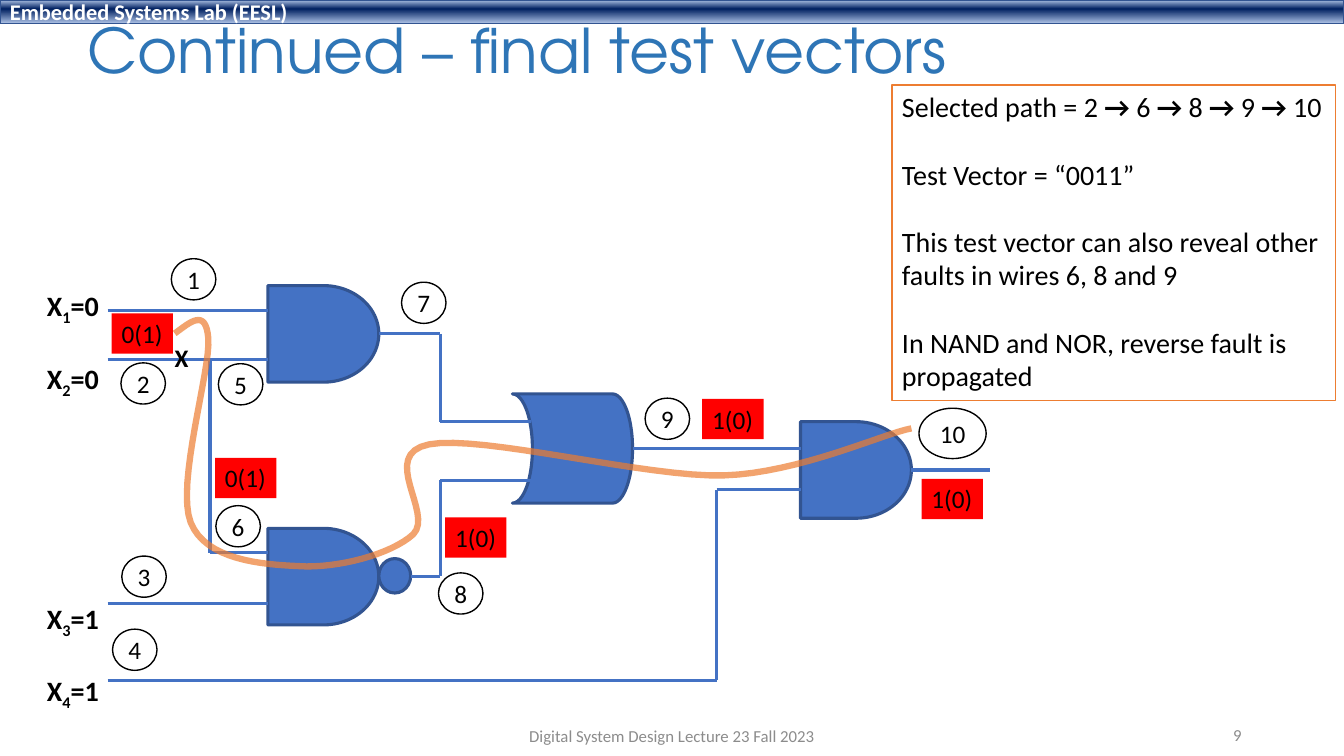
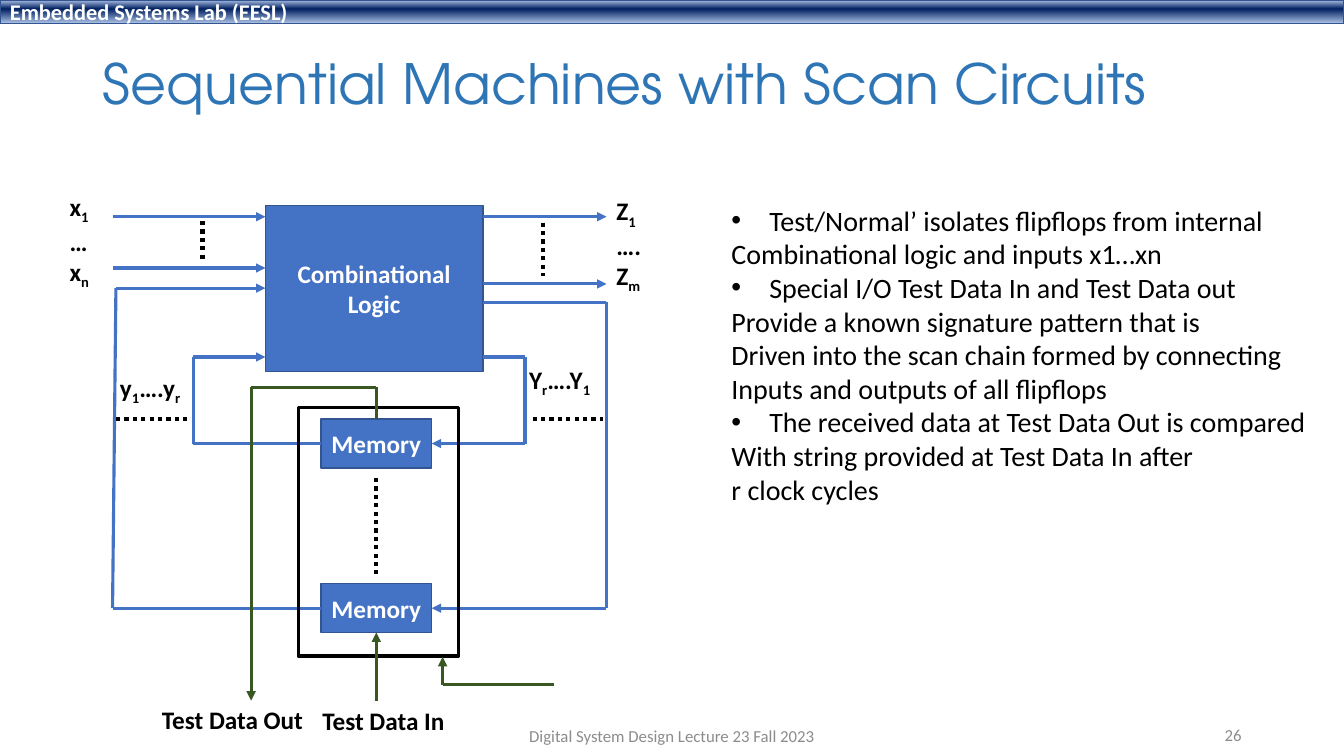
import dataclasses
import itertools

import lxml.etree
import pptx
import pptx.dml.color
import pptx.enum.dml
import pptx.enum.shapes
import pptx.enum.text
import pptx.oxml.ns
import pptx.util

SHAPE = pptx.enum.shapes.MSO_SHAPE
ALIGN = pptx.enum.text.PP_ALIGN
ANCHOR = pptx.enum.text.MSO_ANCHOR
rgb = pptx.dml.color.RGBColor.from_string
qn = pptx.oxml.ns.qn
Pt = pptx.util.Pt


@dataclasses.dataclass(frozen=True)
class Theme:
    body_font: str = "Calibri"
    title_font: str = "TeX Gyre Adventor"
    title: str = "2E75B6"
    block: str = "4472C4"
    outline: str = "325491"
    accent: str = "ED7D31"
    fault: str = "FF0000"
    scan: str = "385723"
    muted: str = "8C8C8C"
    ink: str = "000000"
    paper: str = "FFFFFF"
    band: tuple = ((0, "ABC0E4"), (38, "002060"), (100, "ACC1E5"))
    band_size: int = 16
    body_size: int = 20
    label_size: int = 18
    footer_size: int = 12
    thin: float = 1
    wire: float = 2.25
    dots: float = 3
    trace: float = 4.5


theme = Theme()
deck = pptx.Presentation()
deck.slide_width = pptx.util.Inches(13.333)
deck.slide_height = pptx.util.Inches(7.5)
CELL = deck.slide_height / 90
title_only = deck.slide_layouts[5]


def put(slide, box, text="", kind=None, fill=None, line=None, weight=theme.thin,
        size=theme.label_size, color=theme.ink, bold=False, align=ALIGN.LEFT,
        anchor=ANCHOR.TOP, wrap=False, subscripts=True):
    place = [round(n * CELL) for n in box]
    if kind is None:
        part = slide.shapes.add_textbox(*place)
    else:
        part = slide.shapes.add_shape(kind, *place)
        part.shadow.inherit = False
        if fill:
            part.fill.solid()
            part.fill.fore_color.rgb = rgb(fill)
        else:
            part.fill.background()
        if line:
            part.line.color.rgb = rgb(line)
            part.line.width = Pt(weight)
        else:
            part.line.fill.background()
    frame = part.text_frame
    frame.word_wrap = wrap
    frame.vertical_anchor = anchor
    for row, content in enumerate(text.split("\n") if text else []):
        paragraph = frame.add_paragraph() if row else frame.paragraphs[0]
        paragraph.alignment = align
        for index, piece in enumerate(content.split("_")):
            if not piece:
                continue
            run = paragraph.add_run()
            run.text = piece
            run.font.name = theme.body_font
            run.font.size = Pt(size)
            run.font.color.rgb = rgb(color)
            run.font.bold = bold
            if index % 2 and subscripts:
                run._r.get_or_add_rPr().set("baseline", "-25000")
    return part


def wire(slide, points, color=theme.block, weight=theme.wire, arrow=False,
         dotted=False, start=None, end=None):
    legs = list(itertools.pairwise(points))
    for index, (near, far) in enumerate(legs):
        leg = slide.shapes.add_connector(
            pptx.enum.shapes.MSO_CONNECTOR.STRAIGHT,
            *[round(n * CELL) for n in near + far])
        leg.line.color.rgb = rgb(color)
        leg.line.width = Pt(weight)
        if dotted:
            leg.line.dash_style = pptx.enum.dml.MSO_LINE.ROUND_DOT
        if start and index == 0:
            leg.begin_connect(*start)
        if index == len(legs) - 1:
            if end:
                leg.end_connect(*end)
            if arrow:
                lxml.etree.SubElement(leg.line._get_or_add_ln(), qn("a:tailEnd"), type="triangle")
        lxml.etree.SubElement(leg.element.spPr, qn("a:effectLst"))


slides = []
for heading, box, size, number in [
    ("Continued – final test vectors", (9.2, 1.4, 138, 10), 44, "9"),
    ("Sequential Machines with Scan Circuits", (11, 4.8, 138, 10.9), 39.6, "26"),
]:
    slide = deck.slides.add_slide(title_only)
    title = slide.shapes.title
    title.left, title.top, title.width, title.height = [round(n * CELL) for n in box]
    title.text_frame.text = heading
    title.text_frame.vertical_anchor = ANCHOR.MIDDLE
    title.text_frame.auto_size = pptx.enum.text.MSO_AUTO_SIZE.NONE
    line = title.text_frame.paragraphs[0]
    line.alignment = ALIGN.LEFT
    line.line_spacing = 0.9
    line.runs[0].font.name = theme.title_font
    line.runs[0].font.size = Pt(size)
    line.runs[0].font.color.rgb = rgb(theme.title)
    for text, spot, align in [
        ("Digital System Design Lecture 23 Fall 2023", (53, 85.2, 54, 4.8), ALIGN.CENTER),
        (number, (113, 85.1, 36, 4.8), ALIGN.RIGHT),
    ]:
        put(slide, spot, text, size=theme.footer_size, color=theme.muted, align=align,
            anchor=ANCHOR.MIDDLE, wrap=True)
    slides.append(slide)
vectors, scan = slides

band = put(vectors, (0, 0, 160, 2.8), "Embedded Systems Lab (EESL)", SHAPE.RECTANGLE,
           theme.block, theme.outline, size=theme.band_size, color=theme.paper,
           bold=True, anchor=ANCHOR.MIDDLE, wrap=True)
band.fill.gradient()
band.fill.gradient_angle = 270
stops = band.element.spPr.find(qn("a:gradFill")).find(qn("a:gsLst"))
for stop in list(stops):
    stops.remove(stop)
for position, color in theme.band:
    stop = lxml.etree.SubElement(stops, qn("a:gs"), pos=str(position * 1000))
    lxml.etree.SubElement(stop, qn("a:srgbClr"), val=color)
title_only.shapes.element.append(band.element)

findings = put(vectors, (106.2, 10.1, 52.8, 37.6),
               "Selected path = 2_ → _6_ → _8_ → _9_ → _10\n"
               "Test Vector = “0011”\n"
               "This test vector can also reveal other\nfaults in wires 6, 8 and 9\n"
               "In NAND and NOR, reverse fault is\npropagated",
               SHAPE.RECTANGLE, theme.paper, theme.accent, size=theme.body_size,
               subscripts=False)
for arrow in findings.text_frame.paragraphs[0].runs[1::2]:
    arrow.font.bold = True
for row in (1, 2, 4):
    findings.text_frame.paragraphs[row].space_before = Pt(24)

and_in, nand, or_gate, and_out, inverter = [
    put(vectors, box, kind=kind, fill=theme.block, line=theme.outline, weight=theme.wire)
    for kind, box in [
        (SHAPE.FLOWCHART_DELAY, (31.9, 34, 13.2, 11.5)),
        (SHAPE.FLOWCHART_DELAY, (31.9, 62.9, 13.2, 11.5)),
        (SHAPE.FLOWCHART_STORED_DATA, (61, 46.9, 14.3, 13)),
        (SHAPE.FLOWCHART_DELAY, (95.3, 50.2, 13.2, 11.5)),
        (SHAPE.OVAL, (45.1, 66.5, 3.8, 4.1)),
    ]
]
or_gate.element.spPr.find(qn("a:xfrm")).set("flipH", "1")

wire(vectors, [(45.1, 39.75), (52.4, 39.75), (52.4, 50.2), (63.2, 50.2)], start=(and_in, 3))
wire(vectors, [(108.5, 55.95), (117.8, 55.95)], start=(and_out, 3))
for route in [
    [(48.9, 68.6), (52.4, 68.6), (52.4, 57.2), (63.2, 57.2)],
    [(75.3, 53.4), (95.3, 53.4)],
    [(12.8, 81), (85.3, 81), (85.3, 58.3), (95.3, 58.3)],
    [(12.8, 71.9), (31.9, 71.9)],
    [(12.8, 42.8), (31.9, 42.8)],
    [(12.8, 37), (31.9, 37)],
    [(25, 42.8), (25, 65.8), (31.9, 65.8)],
]:
    wire(vectors, route)

put(vectors, (19.6, 40.2, 4.1, 4.8), "X", bold=True)
for text, top in [("X_1_=0", 33.8), ("X_2_=0", 42.4), ("X_3_=1", 71), ("X_4_=1", 79.6)]:
    put(vectors, (4.4, top, 8.8, 5.2), text, size=theme.body_size, bold=True)

for number, left, top in [
    (1, 20.4, 30.8), (2, 14.4, 43.2), (3, 14.5, 66.2), (4, 13.4, 74.9), (5, 26, 43.3),
    (6, 25.7, 60.2), (7, 47.8, 33.6), (8, 52.2, 68.2), (9, 76.8, 47.4), (10, 109.4, 48.6),
]:
    extent = (8, 6) if number == 10 else (5.3, 4.9)
    put(vectors, (left, top) + extent, str(number), SHAPE.OVAL, line=theme.ink,
        align=ALIGN.CENTER, anchor=ANCHOR.MIDDLE)

for value, left, top in [
    ("0(1)", 13.3, 37.3), ("0(1)", 25.6, 54.5), ("1(0)", 83.6, 47.5),
    ("1(0)", 109.7, 57), ("1(0)", 53, 61.6),
]:
    put(vectors, (left, top, 7.3, 4.8), value, SHAPE.RECTANGLE, theme.fault)

origin = (20.8, 39.7)
bends = [
    ((22.6, 38.4), (24.5, 36.6), (24.8, 40.3)),
    ((25.1, 44), (20.9, 57.7), (22.7, 62.2)),
    ((24.5, 66.7), (31.2, 67.2), (35.6, 67.4)),
    ((40.1, 67.7), (46.6, 66), (49.2, 63.6)),
    ((51.7, 61.1), (45, 54.1), (51.1, 52.9)),
    ((57.2, 51.7), (77.2, 56.9), (86.2, 56.6)),
    ((95.2, 56.3), (105.2, 51.6), (108.5, 51)),
]
STEPS = 16
trail = []
knot = origin
for first, second, last in bends:
    for t in [step / STEPS for step in range(1, STEPS + 1)]:
        trail.append(tuple(
            CELL * ((1 - t) ** 3 * a + 3 * (1 - t) ** 2 * t * b + 3 * (1 - t) * t ** 2 * c + t ** 3 * d)
            for a, b, c, d in zip(knot, first, second, last)))
    knot = last
builder = vectors.shapes.build_freeform(origin[0] * CELL, origin[1] * CELL)
builder.add_line_segments(trail, close=False)
fault_path = builder.convert_to_shape()
fault_path.shadow.inherit = False
fault_path.fill.background()
fault_path.line.color.rgb = rgb(theme.accent)
fault_path.line.width = Pt(theme.trace)
tint = next(fault_path.element.spPr.iter(qn("a:srgbClr")))
lxml.etree.SubElement(tint, qn("a:alpha"), val="70000")

logic, first_memory, last_memory = [
    put(scan, box, text, SHAPE.RECTANGLE, theme.block, theme.outline, color=theme.paper,
        bold=True, align=ALIGN.CENTER, anchor=ANCHOR.MIDDLE)
    for text, box in [
        ("Combinational\nLogic", (31.6, 24.5, 25.9, 19.7)),
        ("Memory", (38.2, 49.9, 13.2, 5.8)),
        ("Memory", (38.2, 69.5, 13.2, 5.8)),
    ]
]

for y in (25.8, 33.8):
    wire(scan, [(57.5, y), (72.2, y)], arrow=True)
for y in (25.8, 31.9):
    wire(scan, [(13.4, y), (31.6, y)], arrow=True)
wire(scan, [(57.5, 42.5), (62.5, 42.5), (62.5, 52.8), (51.4, 52.8)],
     arrow=True, end=(first_memory, 3))
wire(scan, [(57.5, 36), (72.2, 36), (72.2, 72.4), (51.4, 72.4)],
     arrow=True, end=(last_memory, 3))
wire(scan, [(38.2, 52.8), (23, 52.8), (23, 42.5), (31.6, 42.5)],
     arrow=True, start=(first_memory, 1))
wire(scan, [(38.2, 72.4), (13.4, 72.4), (13.8, 34.3), (31.6, 34.3)],
     arrow=True, start=(last_memory, 1))

for ends in [
    [(44.8, 56.9), (44.8, 68.3)], [(64.6, 26.5), (64.6, 32.9)], [(24.1, 26.3), (24.1, 31)],
    [(63.4, 49.9), (71.8, 49.9)], [(13.8, 49.9), (22.3, 49.9)],
]:
    wire(scan, ends, theme.ink, theme.dots, dotted=True)

put(scan, (35.5, 48.5, 19.1, 29.6), kind=SHAPE.RECTANGLE, line=theme.ink, weight=theme.wire)
wire(scan, [(66, 81.5), (52.7, 81.5), (52.7, 78.2)], theme.scan, arrow=True)
wire(scan, [(44.8, 83.4), (44.8, 75.3)], theme.scan, arrow=True, end=(last_memory, 2))
wire(scan, [(44.8, 49.9), (44.8, 46.1), (29.9, 46.1), (29.9, 83.4)], theme.scan,
     arrow=True, start=(first_memory, 0))

for text, box in [
    ("Z_1\n….\nZ_m", (72.2, 22.7, 5.5, 12.1)),
    ("Y_r_….Y_1", (61.8, 42.8, 9.8, 4.8)),
    ("x_1\n…\nx_n", (7.1, 22.2, 4.9, 12.1)),
    ("y_1_….y_r", (13.1, 43.7, 10, 4.8)),
    ("Test Data In", (37.2, 83.4, 17, 4.8)),
    ("Test Data Out", (18.1, 83.3, 19.4, 4.8)),
]:
    put(scan, box, text, bold=True)

remarks = put(scan, (85.9, 23.6, 72.2, 37.6),
              "Test/Normal’ isolates flipflops from internal\n"
              "Combinational logic and inputs x1…xn\n"
              "Special I/O Test Data In and Test Data out\n"
              "Provide a known signature pattern that is\n"
              "Driven into the scan chain formed by connecting\n"
              "Inputs and outputs of all flipflops\n"
              "The received data at Test Data Out is compared\n"
              "With string provided at Test Data In after\nr clock cycles",
              size=theme.body_size)
for row in (0, 2, 6):
    layout = remarks.text_frame.paragraphs[row]._p.get_or_add_pPr()
    indent = round(4.5 * CELL)
    layout.set("marL", str(indent))
    layout.set("indent", str(-indent))
    lxml.etree.SubElement(layout, qn("a:buFont"), typeface="Arial")
    lxml.etree.SubElement(layout, qn("a:buChar"), char="•")

deck.save("out.pptx")
